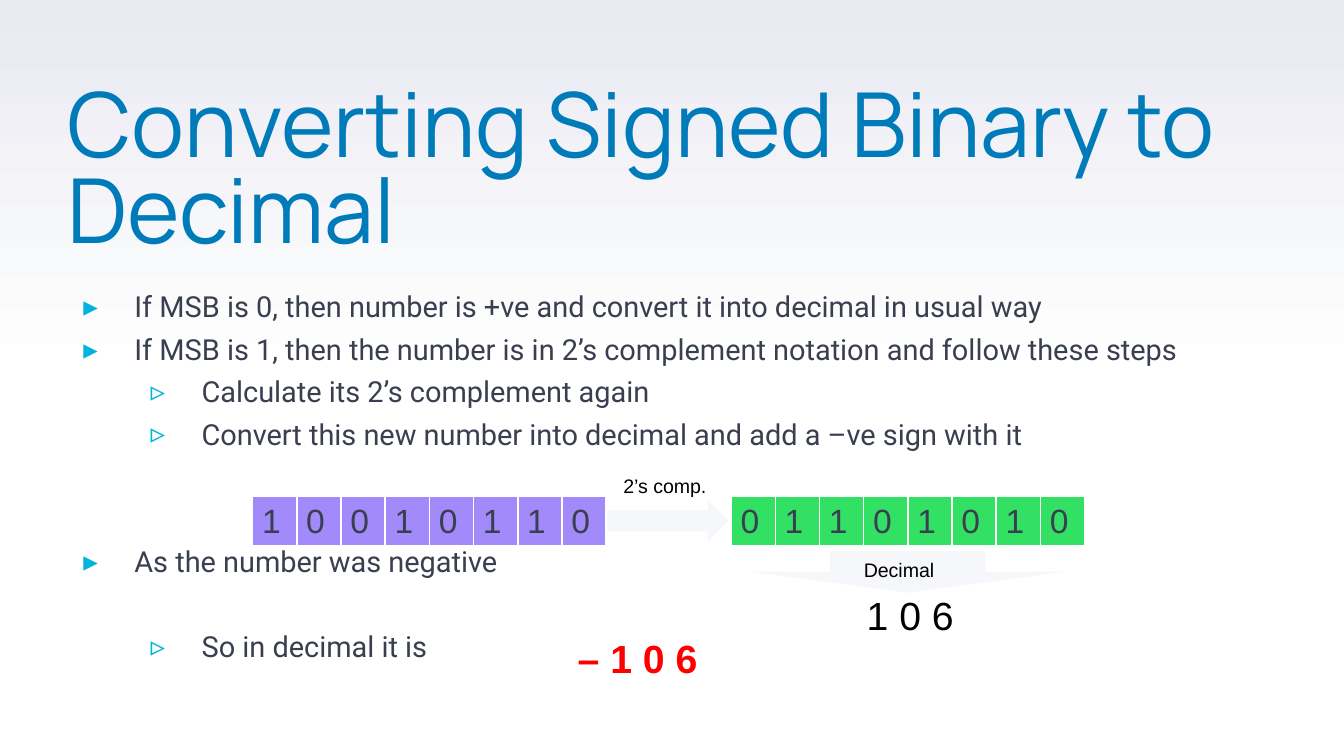
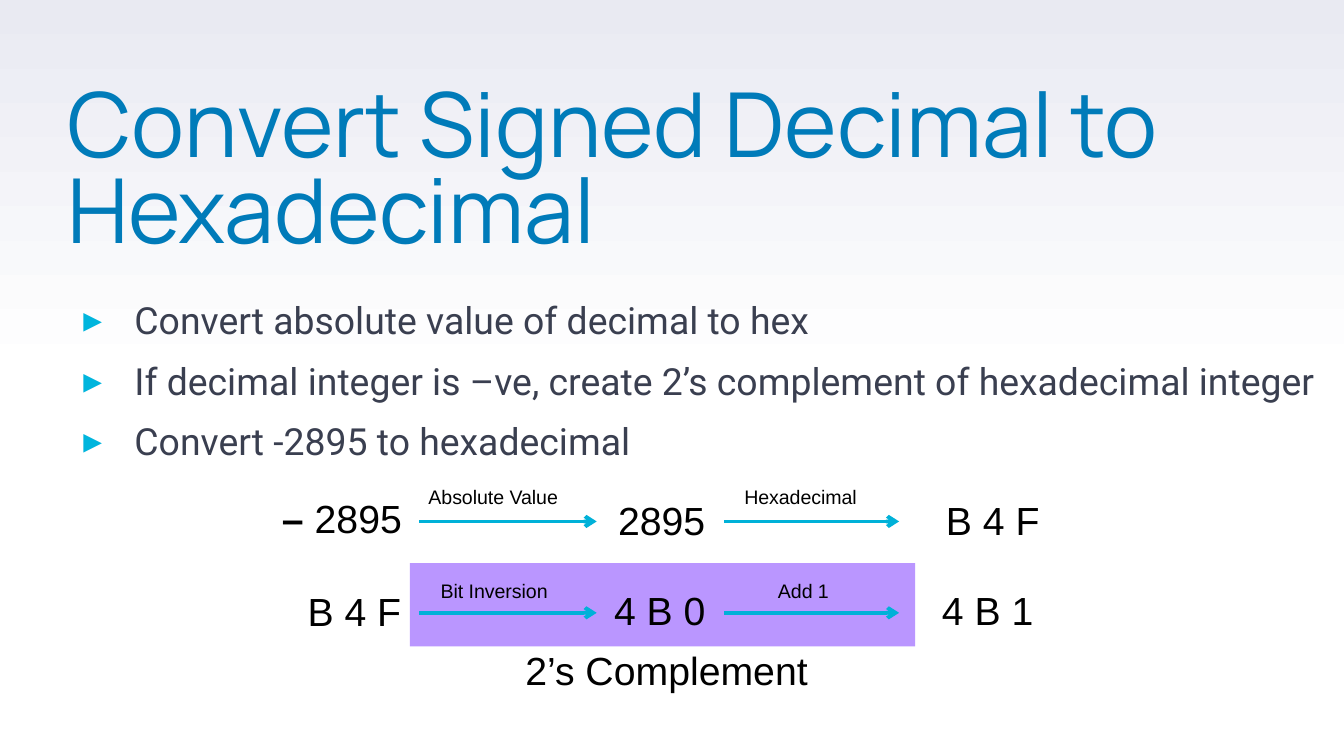
from copy import deepcopy
from typing import NamedTuple

from lxml import etree
from pptx import Presentation
from pptx import util as u
from pptx.dml.color import RGBColor
from pptx.enum import shapes, text
from pptx.oxml import ns

PX = 4572
COLORS = {
    "white": "FFFFFF",
    "haze": "E9EAF2",
    "title": "007BB9",
    "body": "3A3F50",
    "bullet": "00B5DD",
    "arrow": "00B1D8",
    "block": "F6F7FA",
    "source_bits": "A28AFA",
    "result_bits": "32E164",
    "band": "BA96FF",
    "black": "000000",
    "red": "FF0000",
}
BACKGROUND_STOPS = ((0, "white"), (0.5, "white"), (1, "haze"))
BULLETS = ("▸", "▹")
LARGE, SMALL = 21, 10.5


class Bullet(NamedTuple):
    words: str
    level: int = 0
    space_before: float = 6


class Label(NamedTuple):
    words: str
    left: int
    top: int
    width: int
    size: float = LARGE
    color: str = "black"
    bold: bool = False
    bold_prefix: str = ""


class BitRow(NamedTuple):
    bits: str
    left: int
    color: str


class Block(NamedTuple):
    kind: shapes.MSO_SHAPE
    left: int
    top: int
    width: int
    height: int
    color: str = "block"


class Arrow(NamedTuple):
    left: int
    right: int
    y: int


def px(count: int) -> u.Emu:
    return u.Emu(count * PX)


def rgb(name: str) -> RGBColor:
    return RGBColor.from_string(COLORS[name])


def add_element(parent, tag: str, **attributes: str):
    return etree.SubElement(parent, ns.qn(tag), attributes)


def set_font(para, family: str, size: float, color: str) -> None:
    font = para.font
    font.name = family
    font.size = u.Pt(size)
    font.color.rgb = rgb(color)


def paint_background(page) -> None:
    fill = page.background.fill
    fill.gradient()
    fill.gradient_angle = 90
    stops = next(page.element.iter(ns.qn("a:gsLst")))
    stops.insert(1, deepcopy(stops[0]))
    for stop, (position, color) in zip(fill.gradient_stops, BACKGROUND_STOPS):
        stop.position = position
        stop.color.rgb = rgb(color)


def add_frame(page, top: int, height: int):
    frame = page.shapes.add_textbox(px(100), px(top), px(1864), px(height)).text_frame
    frame.word_wrap = True
    frame.margin_left = frame.margin_top = frame.margin_right = frame.margin_bottom = 0
    return frame


def add_title(page, words: str) -> None:
    para = add_frame(page, 132, 236).paragraphs[0]
    para.text = words
    para.line_spacing = 0.8
    set_font(para, "Manrope", 48, "title")


def add_body(page, bullets: list[Bullet], size: float, spacing: float) -> None:
    frame = add_frame(page, 436, 586)
    for index, bullet in enumerate(bullets):
        para = frame.add_paragraph() if index else frame.paragraphs[0]
        para.text = bullet.words
        para.level = bullet.level
        para.line_spacing = spacing
        para.space_before = u.Pt(bullet.space_before)
        properties = para._p.get_or_add_pPr()
        properties.set("marL", str(px(100 * (bullet.level + 1))))
        properties.set("indent", str(px(-76)))
        color = add_element(properties, "a:buClr")
        add_element(color, "a:srgbClr", val=COLORS["bullet"])
        add_element(properties, "a:buFont", typeface="Roboto")
        add_element(properties, "a:buChar", char=BULLETS[bullet.level])
        set_font(para, "Roboto", size, "body")


def add_label(page, label: Label) -> None:
    height = 90 if label.size == LARGE else 56
    box = page.shapes.add_textbox(px(label.left), px(label.top), px(label.width), px(height))
    frame = box.text_frame
    frame.word_wrap = False
    frame.auto_size = text.MSO_AUTO_SIZE.SHAPE_TO_FIT_TEXT
    para = frame.paragraphs[0]
    if label.bold_prefix:
        span = para.add_run()
        span.text = label.bold_prefix
        span.font.bold = True
    para.add_run().text = label.words
    set_font(para, "Arial", label.size, label.color)
    if label.bold:
        para.font.bold = True


def add_borders(cell) -> None:
    properties = cell._tc.get_or_add_tcPr()
    for side, points in (("L", 1), ("R", 1), ("T", 1), ("B", 3)):
        line = add_element(properties, f"a:ln{side}", w=str(u.Pt(points)))
        fill = add_element(line, "a:solidFill")
        add_element(fill, "a:srgbClr", val=COLORS["white"])


def add_bits(page, row: BitRow) -> None:
    table = page.shapes.add_table(
        1, len(row.bits), px(row.left), px(738), px(526), px(76)
    ).table
    table.first_row = table.horz_banding = False
    for cell, bit in zip(table.iter_cells(), row.bits):
        cell.text = bit
        cell.vertical_anchor = text.MSO_ANCHOR.MIDDLE
        cell.margin_left = cell.margin_right = px(14)
        cell.margin_top = cell.margin_bottom = px(8)
        add_borders(cell)
        cell.fill.solid()
        cell.fill.fore_color.rgb = rgb(row.color)
        set_font(cell.text_frame.paragraphs[0], "Arial", 18, "body")


def add_block(page, block: Block) -> None:
    shape = page.shapes.add_shape(
        block.kind, px(block.left), px(block.top), px(block.width), px(block.height)
    )
    shape.shadow.inherit = False
    shape.fill.solid()
    shape.fill.fore_color.rgb = rgb(block.color)
    shape.line.fill.background()


def add_arrow(page, arrow: Arrow) -> None:
    connector = page.shapes.add_connector(
        shapes.MSO_CONNECTOR.STRAIGHT,
        px(arrow.left), px(arrow.y), px(arrow.right), px(arrow.y),
    )
    connector.line.color.rgb = rgb("arrow")
    connector.line.width = u.Pt(2)
    properties = connector._element.spPr
    add_element(properties.find(ns.qn("a:ln")), "a:tailEnd", type="arrow")
    add_element(properties, "a:effectLst")


def add_page(deck):
    page = deck.slides.add_slide(deck.slide_layouts[6])
    paint_background(page)
    return page


def build_binary_page(deck) -> None:
    page = add_page(deck)
    add_title(page, "Converting Signed Binary to Decimal")
    add_body(page, [
        Bullet("If MSB is 0, then number is +ve and convert it into decimal in usual way"),
        Bullet("If MSB is 1, then the number is in 2’s complement notation and follow these steps"),
        Bullet("Calculate its 2’s complement again", 1),
        Bullet("Convert this new number into decimal and add a –ve sign with it", 1),
        Bullet("As the number was negative", 0, 51.5),
        Bullet("So in decimal it is", 1, 29),
    ], 15.5, 0.9)
    for row in (
        BitRow("10010110", 376, "source_bits"),
        BitRow("01101010", 1088, "result_bits"),
    ):
        add_bits(page, row)
    for block in (
        Block(shapes.MSO_SHAPE.DOWN_ARROW, 1120, 820, 462, 62),
        Block(shapes.MSO_SHAPE.RIGHT_ARROW, 904, 744, 180, 62),
    ):
        add_block(page, block)
    for label in (
        Label("1 0 6", 1270, 870, 172),
        Label("– 1 0 6", 840, 934, 220, color="red", bold=True),
        Label("2’s comp.", 908, 696, 166, SMALL),
        Label("Decimal", 1266, 820, 148, SMALL),
    ):
        add_label(page, label)


def build_hexadecimal_page(deck) -> None:
    page = add_page(deck)
    add_block(page, Block(shapes.MSO_SHAPE.RECTANGLE, 610, 838, 752, 124, "band"))
    add_title(page, "Convert Signed Decimal to Hexadecimal")
    add_body(page, [
        Bullet("Convert absolute value of decimal to hex"),
        Bullet("If decimal integer is –ve, create 2’s complement of hexadecimal integer"),
        Bullet("Convert -2895 to hexadecimal"),
    ], 20, 1.1)
    for y in (776, 912):
        for left, right in ((624, 888), (1078, 1338)):
            add_arrow(page, Arrow(left, right, y))
    for label in (
        Label("2895", 400, 726, 220, bold_prefix="– "),
        Label("Absolute Value", 618, 712, 240, SMALL),
        Label("2895", 900, 728, 170),
        Label("Hexadecimal", 1088, 712, 212, SMALL),
        Label("B 4 F", 1388, 728, 182),
        Label("B 4 F", 438, 864, 182),
        Label("Bit Inversion", 636, 852, 202, SMALL),
        Label("4 B 0", 894, 862, 178),
        Label("Add 1", 1138, 852, 118, SMALL),
        Label("4 B 1", 1382, 862, 178),
        Label("2’s Complement", 762, 952, 464),
    ):
        add_label(page, label)


def main() -> None:
    deck = Presentation()
    deck.slide_width = px(2000)
    deck.slide_height = px(1125)
    build_binary_page(deck)
    build_hexadecimal_page(deck)
    deck.save("out.pptx")


if __name__ == "__main__":
    main()
